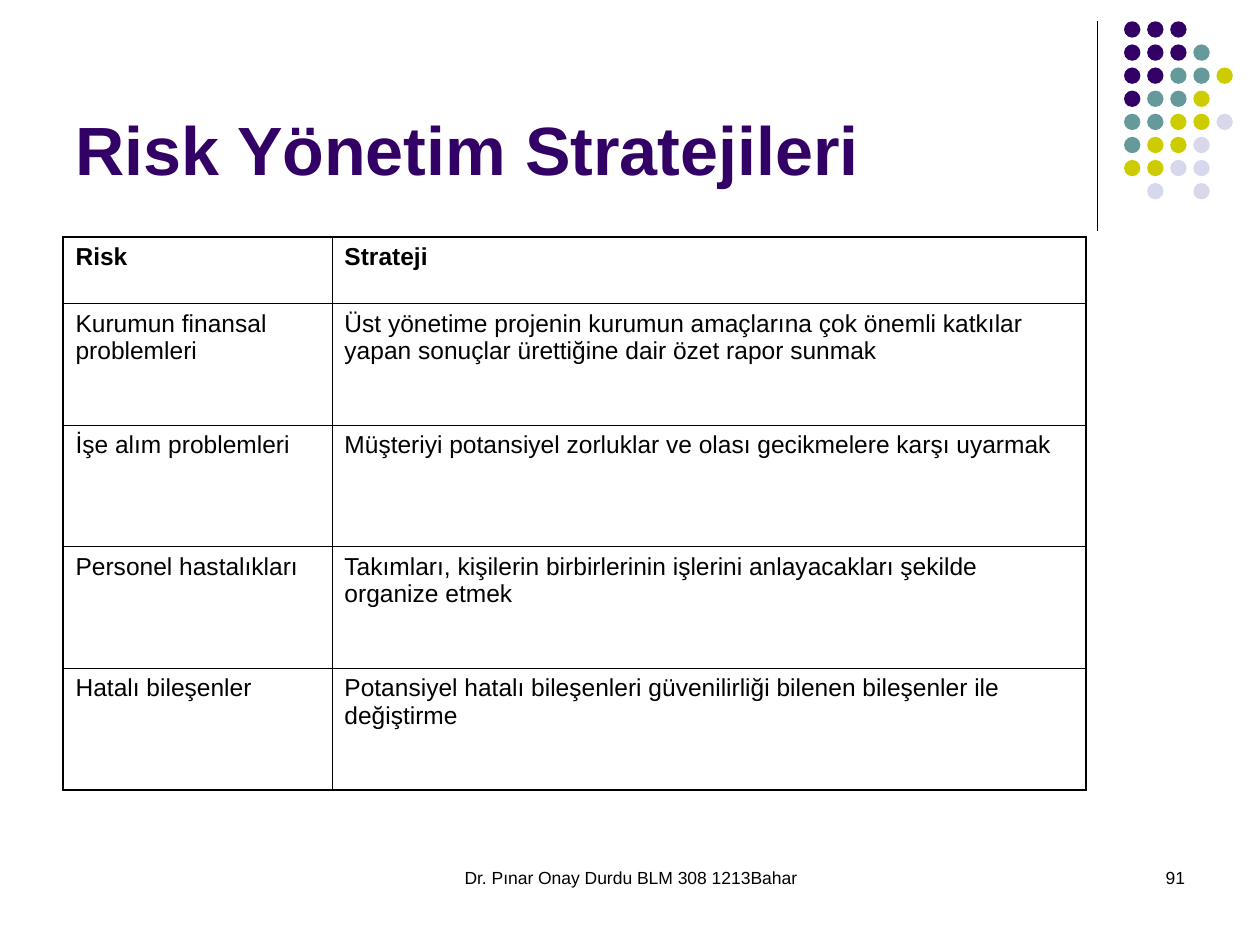
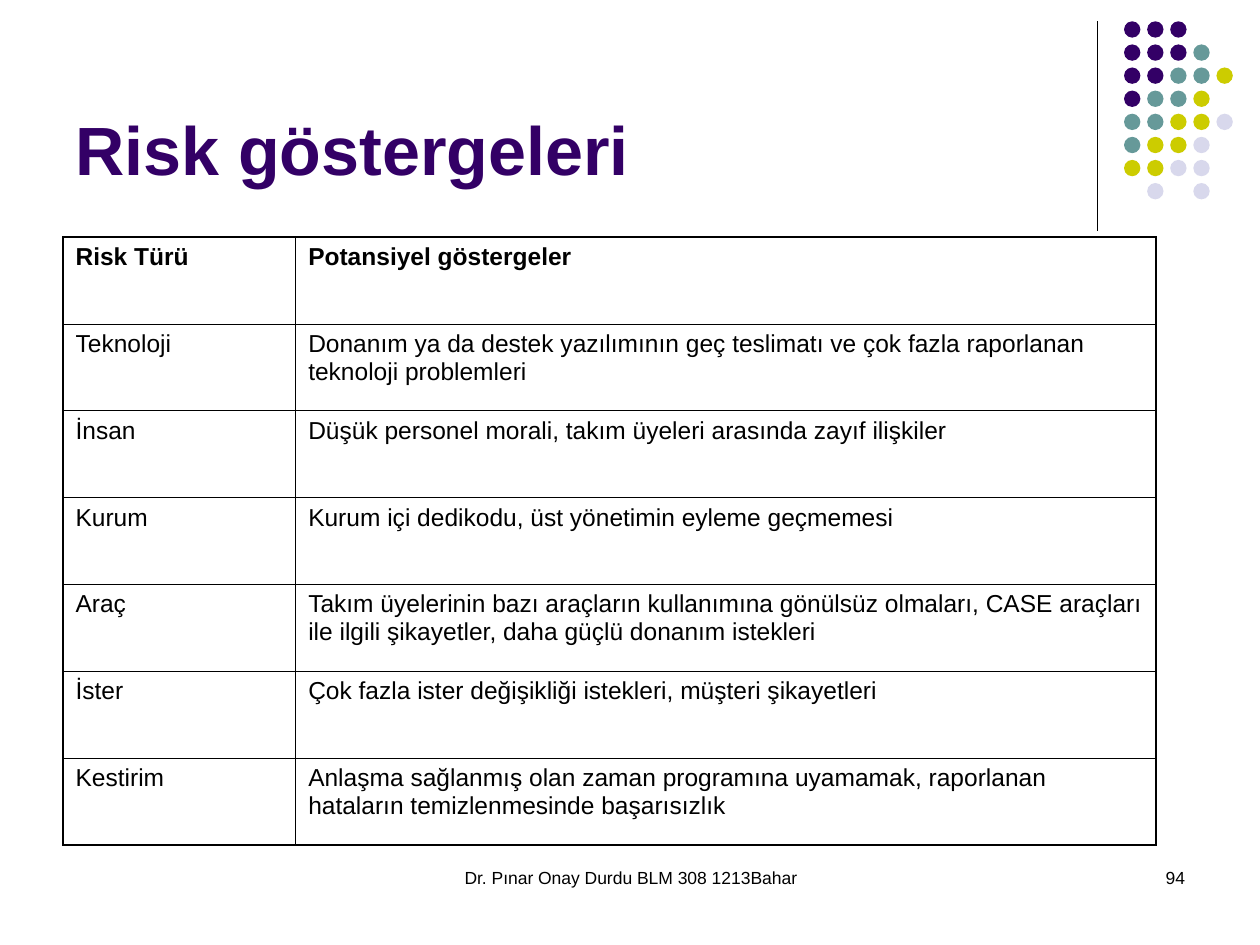
from lxml.etree import SubElement
from pptx import Presentation
from pptx.dml.color import RGBColor
from pptx.enum.shapes import MSO_CONNECTOR, MSO_SHAPE
from pptx.enum.text import MSO_ANCHOR, PP_ALIGN
from pptx.oxml.ns import qn
from pptx.util import Cm, Pt

COLORS = {
    "ink": "000000",
    "purple": "330066",
    "teal": "669999",
    "olive": "CCCC00",
    "lilac": "D8D8EC",
}
FONT = "Arial"
FOOTER = "Dr. Pınar Onay Durdu BLM 308 1213Bahar"
DOT_COLORS = {"P": "purple", "T": "teal", "Y": "olive", "L": "lilac"}
DOT_ROWS = ["PPP", "PPPT", "PPTTY", "PTTY", "TTYYL", "TYYL", "YYLL", "-L-L"]
DOT_SPAN = 3.26
OUTER_BORDER, INNER_BORDER = 1.08, 0.45

STRATEGIES = [
    ("Risk", "Strateji"),
    ("Kurumun finansal problemleri",
     "Üst yönetime projenin kurumun amaçlarına çok önemli katkılar yapan "
     "sonuçlar ürettiğine dair özet rapor sunmak"),
    ("İşe alım problemleri",
     "Müşteriyi potansiyel zorluklar ve olası gecikmelere karşı uyarmak"),
    ("Personel hastalıkları",
     "Takımları, kişilerin birbirlerinin işlerini anlayacakları şekilde "
     "organize etmek"),
    ("Hatalı bileşenler",
     "Potansiyel hatalı bileşenleri güvenilirliği bilenen bileşenler ile "
     "değiştirme"),
]
INDICATORS = [
    ("Risk Türü", "Potansiyel göstergeler"),
    ("Teknoloji",
     "Donanım ya da destek yazılımının geç teslimatı ve çok fazla raporlanan "
     "teknoloji problemleri"),
    ("İnsan", "Düşük personel morali, takım üyeleri arasında zayıf ilişkiler"),
    ("Kurum", "Kurum içi dedikodu, üst yönetimin eyleme geçmemesi"),
    ("Araç",
     "Takım üyelerinin bazı araçların kullanımına gönülsüz olmaları, CASE "
     "araçları ile ilgili şikayetler, daha güçlü donanım istekleri"),
    ("İster", "Çok fazla ister değişikliği istekleri, müşteri şikayetleri"),
    ("Kestirim",
     "Anlaşma sağlanmış olan zaman programına uyamamak, raporlanan hataların "
     "temizlenmesinde başarısızlık"),
]


def write(frame, text, size=14, color="ink", bold=False, align=PP_ALIGN.LEFT):
    frame.word_wrap = True
    para = frame.paragraphs[0]
    para.alignment = align
    span = para.add_run()
    span.text = text
    span.font.name = FONT
    span.font.size = Pt(size)
    span.font.bold = bold
    span.font.color.rgb = RGBColor.from_string(COLORS[color])


def set_border(cell, side, width):
    properties = cell._tc.get_or_add_tcPr()
    line = SubElement(properties, qn(f"a:ln{side}"), w=str(Pt(width)))
    fill = SubElement(line, qn("a:solidFill"))
    SubElement(fill, qn("a:srgbClr"), val=COLORS["ink"])


class RiskDeck:
    def __init__(self):
        self.deck = Presentation()
        self.deck.slide_width = Cm(25.4)
        self.deck.slide_height = Cm(19.05)
        self.page = None

    def add_page(self, title, number):
        self.page = self.deck.slides.add_slide(self.deck.slide_layouts[6])
        self.add_divider()
        self.add_dots()
        self.add_text(FOOTER, 8.69, 17.35, 8.05, 1.27,
                      size=10, align=PP_ALIGN.CENTER)
        self.add_text(number, 18.21, 17.35, 5.93, 1.27,
                      size=10, align=PP_ALIGN.RIGHT)
        self.add_text(title, 1.27, 0.33, 20.95, 3.6, anchor=MSO_ANCHOR.BOTTOM,
                      size=39, color="purple", bold=True)

    def add_text(self, text, left, top, width, height,
                 anchor=MSO_ANCHOR.TOP, **style):
        box = self.page.shapes.add_textbox(
            Cm(left), Cm(top), Cm(width), Cm(height))
        box.text_frame.vertical_anchor = anchor
        write(box.text_frame, text, **style)

    def add_divider(self):
        divider = self.page.shapes.add_connector(
            MSO_CONNECTOR.STRAIGHT, Cm(22.12), Cm(0.43), Cm(22.12), Cm(4.65))
        divider.line.width = Pt(0.75)
        divider.line.color.rgb = RGBColor.from_string(COLORS["ink"])
        SubElement(divider._element.spPr, qn("a:effectLst"))

    def add_dots(self):
        group = self.page.shapes.add_group_shape()
        pitch = DOT_SPAN / (len(DOT_ROWS) - 1)
        for row, codes in enumerate(DOT_ROWS):
            for column, code in enumerate(codes):
                if code not in DOT_COLORS:
                    continue
                dot = group.shapes.add_shape(
                    MSO_SHAPE.OVAL, Cm(22.66 + column * pitch),
                    Cm(0.43 + row * pitch), Cm(0.33), Cm(0.33))
                dot.shadow.inherit = False
                dot.fill.solid()
                dot.fill.fore_color.rgb = RGBColor.from_string(
                    COLORS[DOT_COLORS[code]])
                dot.line.fill.background()

    def add_table(self, records, column_widths, row_heights):
        last_row, last_column = len(records) - 1, len(column_widths) - 1
        table = self.page.shapes.add_table(
            len(records), len(column_widths), Cm(1.27), Cm(4.78),
            Cm(sum(column_widths)), Cm(sum(row_heights))).table
        table.first_row = table.horz_banding = False
        for column, width in zip(table.columns, column_widths):
            column.width = Cm(width)
        for row, height in zip(table.rows, row_heights):
            row.height = Cm(height)
        for row, record in enumerate(records):
            for column, text in enumerate(record):
                cell = table.cell(row, column)
                outer_sides = {"L": column == 0, "R": column == last_column,
                               "T": row == 0, "B": row == last_row}
                for side, is_outer in outer_sides.items():
                    set_border(cell, side,
                               OUTER_BORDER if is_outer else INNER_BORDER)
                cell.fill.background()
                write(cell.text_frame, text, bold=row == 0)


def main():
    risk_deck = RiskDeck()
    risk_deck.add_page("Risk Yönetim Stratejileri", "91")
    risk_deck.add_table(STRATEGIES, [5.42, 15.2], [1.34] + [2.45] * 4)
    risk_deck.add_page("Risk göstergeleri", "94")
    risk_deck.add_table(INDICATORS, [4.69, 17.34], [1.75] * 7)
    risk_deck.deck.save("out.pptx")


if __name__ == "__main__":
    main()
